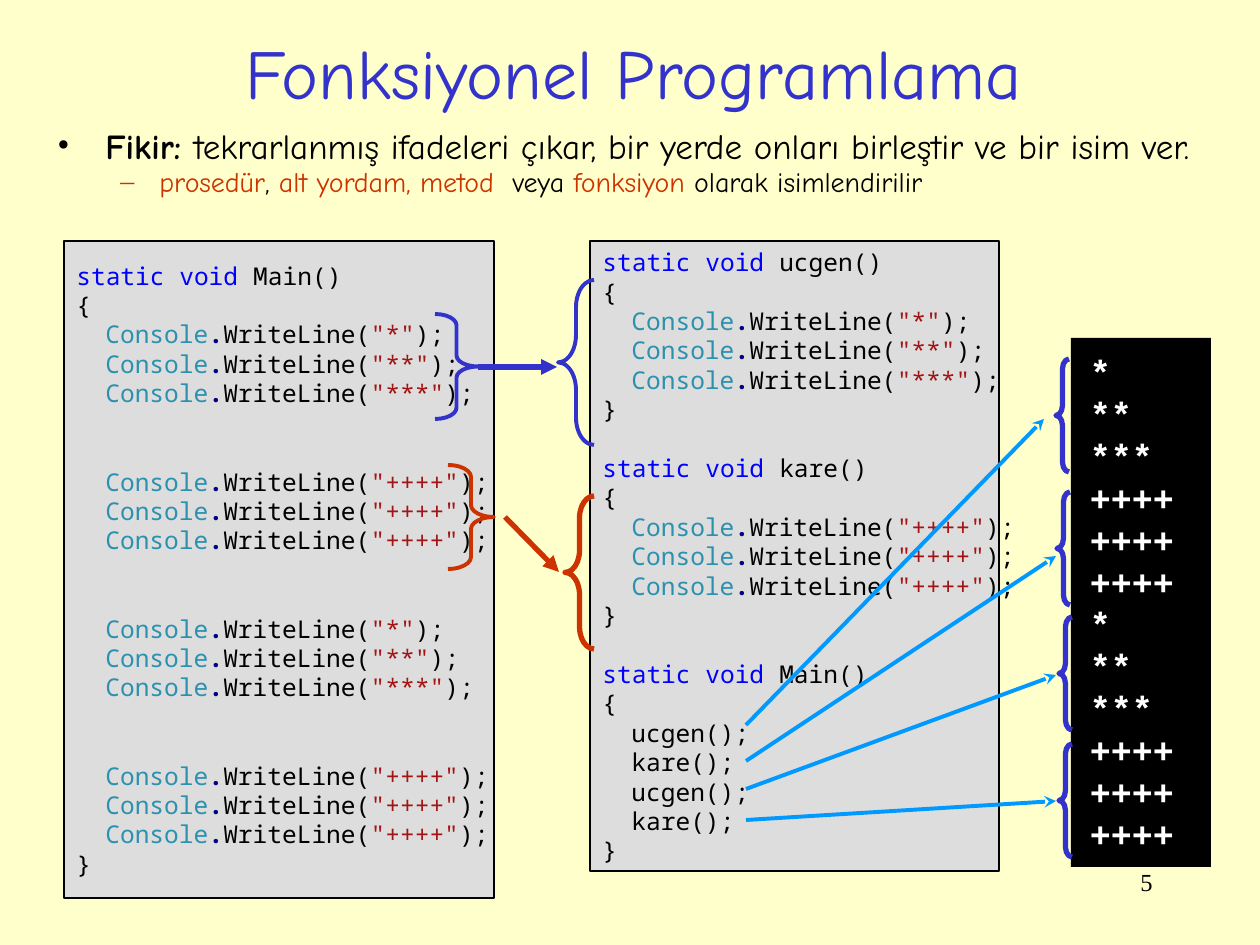
"""Build the functional programming slide: repeated code, extracted methods and their output."""
from lxml import etree
from pptx import Presentation, util as u
from pptx.dml.color import RGBColor
from pptx.enum import shapes, text
from pptx.oxml import ns

PX = 914400 / 126
COLORS = {
    "page": "FFFFCC", "blue": "3333CC", "red": "CC3300", "sky": "0099FF",
    "black": "000000", "white": "FFFFFF", "panel": "DDDDDD",
    "keyword": "0000FF", "type": "2B91AF", "dot": "000080", "string": "A31515",
}
RGB = {name: RGBColor.from_string(value) for name, value in COLORS.items()}
CODE_LINE = 16.8


def write(p, font, size, runs):
    """Add runs of (text, colour, bold) to a paragraph."""
    for content, color, bold in runs:
        r = p.add_run()
        r.text = content
        r.font.name, r.font.size, r.font.bold = font, u.Pt(size), bold
        r.font.color.rgb = RGB[color]


def panel(box, fill, line=None):
    """Add a filled rectangle and return its shape."""
    sp = s.shapes.add_shape(shapes.MSO_SHAPE.RECTANGLE, *[round(v * PX) for v in box])
    sp.shadow.inherit = False
    sp.fill.solid()
    sp.fill.fore_color.rgb = RGB[fill]
    if line:
        sp.line.color.rgb = RGB[line]
        sp.line.width = u.Pt(0.75)
    else:
        sp.line.fill.background()
    return sp


prs = Presentation()
prs.slide_width, prs.slide_height = round(1260 * PX), round(945 * PX)
s = prs.slides.add_slide(prs.slide_layouts[5])
s.background.fill.solid()
s.background.fill.fore_color.rgb = RGB["page"]

title = s.shapes.title
title.left, title.top, title.width, title.height = [round(v * PX) for v in (44, 21, 1179, 102)]
tf = title.text_frame
tf.vertical_anchor = text.MSO_ANCHOR.MIDDLE
p = tf.paragraphs[0]
p.alignment = text.PP_ALIGN.CENTER
write(p, "Comic Neue", 40, [("Fonksiyonel Programlama", "blue", False)])

number = s.shapes.add_textbox(*[round(v * PX) for v in (903, 861, 262, 63)])
number.text_frame.word_wrap = True
p = number.text_frame.paragraphs[0]
p.alignment = text.PP_ALIGN.RIGHT
write(p, "Times New Roman", 14, [("5", "black", False)])

body = s.shapes.add_textbox(*[round(v * PX) for v in (45, 126, 1196, 107)])
tf = body.text_frame
tf.word_wrap = True
points = [
    (0, 20, "•", 48, -48, [
        ("Fikir: ", "black", True),
        ("tekrarlanmış ifadeleri çıkar, bir yerde onları birleştir ve bir isim ver. ", "black", False)]),
    (1, 16, "–", 102, -39, [
        ("prosedür", "red", False), (", ", "black", False),
        ("alt yordam, metod  ", "red", False), ("veya ", "black", False),
        ("fonksiyon ", "red", False), ("olarak isimlendirilir", "black", False)]),
]
for level, size, bullet, margin, indent, runs in points:
    p = tf.add_paragraph() if level else tf.paragraphs[0]
    p.level = level
    p.line_spacing = 0.8
    p.space_before = u.Pt(size * 0.2)
    pPr = p._p.get_or_add_pPr()
    pPr.set("marL", str(round(margin * PX)))
    pPr.set("indent", str(round(indent * PX)))
    etree.SubElement(pPr, ns.qn("a:buFont")).set("typeface", "Times New Roman")
    etree.SubElement(pPr, ns.qn("a:buChar")).set("char", bullet)
    write(p, "Comic Neue", size, runs)

triangle = ["*", "**", "***"]
square = ["++++"] * 3
prints = [[("print", stars) for stars in rows] for rows in (triangle, square)]
opening, closing = [("plain", "{")], [("plain", "}")]
calls = [("call", name) for name in ("ucgen();", "kare();")] * 2

listings = [
    ((590, 241, 409, 630), 1, [
        [("head", "ucgen")] + opening + prints[0] + closing,
        [("head", "kare")] + opening + prints[1] + closing,
        [("head", "Main")] + opening + calls + closing]),
    ((64, 241, 430, 657), 2, [
        [("head", "Main")] + opening + prints[0],
        prints[1], prints[0], prints[1] + closing]),
]
for box, gap, blocks in listings:
    sp = panel(box, "panel", "black")
    tf = sp.text_frame
    tf.word_wrap = False
    tf.vertical_anchor = text.MSO_ANCHOR.MIDDLE
    for b, block in enumerate(blocks):
        for i, (kind, content) in enumerate(block):
            p = tf.add_paragraph() if b or i else tf.paragraphs[0]
            p.alignment = text.PP_ALIGN.LEFT
            if b and i == 0:
                p.space_before = u.Pt(gap * CODE_LINE)
            if kind in ("print", "call"):
                p._p.get_or_add_pPr().set("marL", str(round(29 * PX)))
            runs = [(content, "black", False)]
            if kind == "head":
                runs = [("static void", "keyword", False), (f" {content}()", "black", False)]
            elif kind == "print":
                runs = [("Console", "type", False), (".", "dot", True),
                        ("WriteLine(", "black", False),
                        (f'"{content}"', "string", False), (");", "black", False)]
            write(p, "Noto Sans Mono", 14, runs)

output = panel((1071, 338, 140, 529), "black")
tf = output.text_frame
tf.word_wrap = True
tf.auto_size = text.MSO_AUTO_SIZE.SHAPE_TO_FIT_TEXT
tf.vertical_anchor = text.MSO_ANCHOR.TOP
tf.margin_left = tf.margin_right = u.Inches(0.15)
tf.margin_top = tf.margin_bottom = u.Inches(0.1)
for i, row in enumerate((triangle + square) * 2):
    p = tf.add_paragraph() if i else tf.paragraphs[0]
    p.alignment = text.PP_ALIGN.LEFT
    write(p, "Courier New", 20, [(row, "white", True)])

arrows = [
    ((746, 725, 1044, 419), "sky", 2.25, "stealth"),
    ((746, 761, 1056, 556), "sky", 2.25, "stealth"),
    ((746, 789, 1056, 675), "sky", 2.25, "stealth"),
    ((746, 820, 1056, 801), "sky", 2.25, "stealth"),
    ((478, 367, 557, 367), "blue", 3, "triangle"),
    ((505, 517, 559, 572), "red", 3, "triangle"),
]
for ends, color, width, head in arrows:
    arrow = s.shapes.add_connector(shapes.MSO_CONNECTOR.STRAIGHT, *[round(v * PX) for v in ends])
    arrow.line.color.rgb = RGB[color]
    arrow.line.width = u.Pt(width)
    etree.SubElement(arrow.line._get_or_add_ln(), ns.qn("a:tailEnd")).set("type", head)
    etree.SubElement(arrow._element.spPr, ns.qn("a:effectLst"))

LEFT, RIGHT = shapes.MSO_SHAPE.LEFT_BRACE, shapes.MSO_SHAPE.RIGHT_BRACE
braces = [
    (RIGHT, (435, 314, 43, 105), "blue", 2.25),
    (LEFT, (558, 280, 36, 165), "blue", 2.25),
    (RIGHT, (448, 465, 46, 104), "red", 2.25),
    (LEFT, (565, 496, 29, 153), "red", 3),
] + [(LEFT, (x, y, 13, 113), "blue", 3)
     for x, y in ((1056, 359), (1057, 492), (1059, 617), (1059, 744))]
for kind, box, color, width in braces:
    brace = s.shapes.add_shape(kind, *[round(v * PX) for v in box])
    brace.shadow.inherit = False
    brace.fill.background()
    brace.line.color.rgb = RGB[color]
    brace.line.width = u.Pt(width)
    brace.adjustments[0] = 0.26 if kind == RIGHT else 0.76

prs.save("out.pptx")
